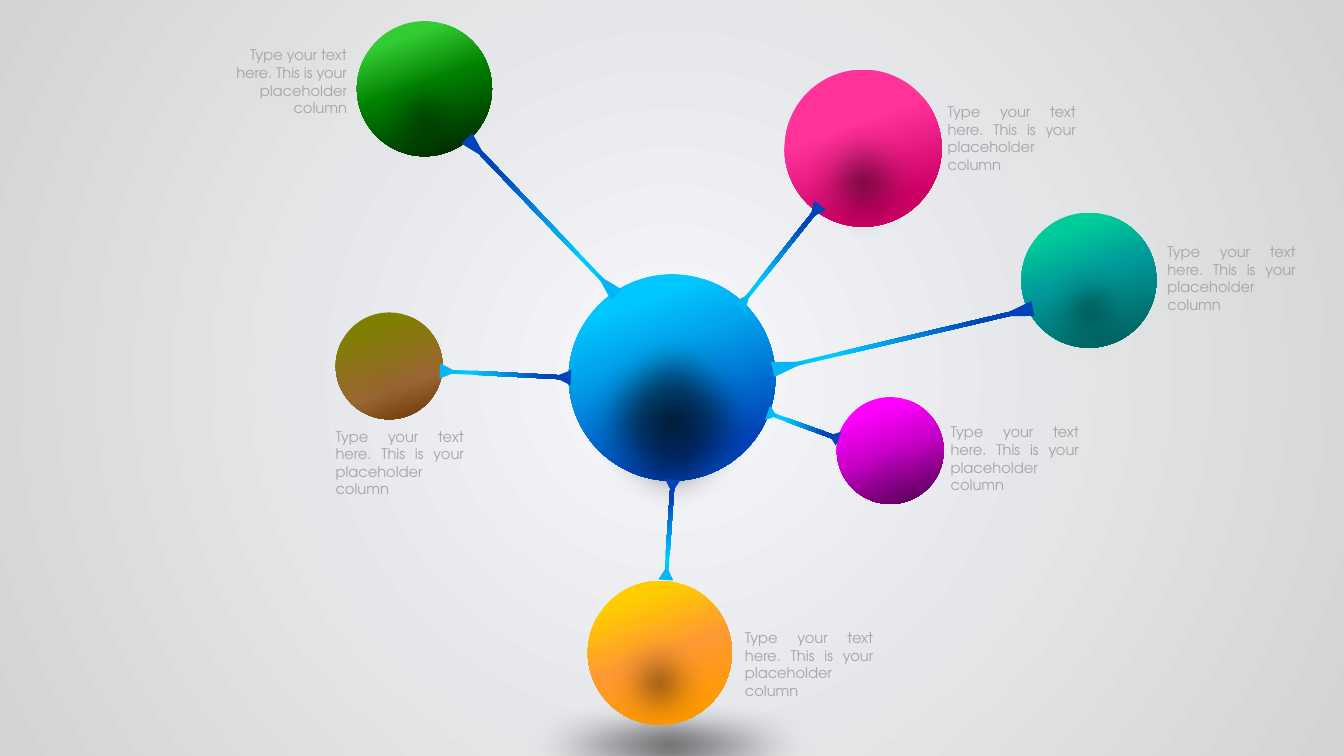
from math import cos, radians, sin
from lxml import etree
from pptx import Presentation
from pptx.dml.color import RGBColor
from pptx.enum.shapes import MSO_SHAPE
from pptx.enum.text import MSO_AUTO_SIZE, PP_ALIGN
from pptx.oxml import parse_xml
from pptx.oxml.ns import nsdecls, qn
from pptx.util import Inches, Pt

OVAL, BAR, TIP = MSO_SHAPE.OVAL, MSO_SHAPE.RECTANGLE, MSO_SHAPE.ISOSCELES_TRIANGLE
JUST, RIGHT = PP_ALIGN.JUSTIFY, PP_ALIGN.RIGHT
FONT = "TeX Gyre Adventor"
CELL = Inches(0.01)  # the slide is a grid of 1333 columns and 750 rows
COLS, ROWS = 1333, 750
BLUR = 317500

HEX = {
    "pale": "F6F8FC", "edge": "D2D3D5", "text": "A6A6A6",
    "black": "000000", "white": "FFFFFF",
    "sky": "01C7FF", "azure": "01A7EE", "navy": "0144B9", "cyan": "03B6F5",
    "rose": "FF3399", "ruby": "CC0066",
    "mint": "00CC99", "teal": "009999", "pine": "006666",
    "gold": "FFCC00", "peach": "FF9933", "amber": "FF9900",
    "lime": "33CC33", "green": "008000", "moss": "003300",
    "pink": "FF00FF", "plum": "CC00CC", "grape": "660066",
    "olive": "808000", "tan": "996633", "brown": "663300",
}
BLUE = [(18, "sky", 100), (36, "azure", 100), (81, "navy", 100)]
DEEP = [(0, "black", 71), (52, "black", 29), (100, "white", 0)]
SOFT = [(0, "black", 43), (52, "black", 16), (100, "white", 0)]


def form(home, kind, mid, size, fill, turn=0, soft=False):
    """Add a shape centred on mid; fill is a colour name or a list of stops."""
    (x, y), (w, h) = mid, size
    box = [round(n * CELL) for n in (x - w / 2, y - h / 2, w, h)]
    shape = home.shapes.add_shape(kind, *box)
    shape.rotation = turn
    shape.line.fill.background()
    shape.shadow.inherit = False
    shape.fill.solid()
    if isinstance(fill, str):
        shape.fill.fore_color.rgb = RGBColor.from_string(HEX[fill])
    else:
        stops = "".join(
            f'<a:gs pos="{pos * 1000}"><a:srgbClr val="{HEX[name]}">'
            f'<a:alpha val="{alpha * 1000}"/></a:srgbClr></a:gs>'
            for pos, name, alpha in fill)
        way = ('<a:path path="circle"><a:fillToRect l="50000" t="50000" r="50000" b="50000"/></a:path>'
               if soft else '<a:lin ang="4200000" scaled="0"/>')
        grad = parse_xml(f'<a:gradFill {nsdecls("a")} rotWithShape="1">'
                         f'<a:gsLst>{stops}</a:gsLst>{way}</a:gradFill>')
        props = shape._element.spPr
        props.replace(props.find(qn("a:solidFill")), grad)
    if soft:
        effect = shape._element.spPr.find(qn("a:effectLst"))
        etree.SubElement(effect, qn("a:softEdge"), rad=str(BLUR))


def write(home, text, x, y, w, h, size=10.5, color="text", align=JUST):
    box = home.shapes.add_textbox(*[n * CELL for n in (x, y, w, h)])
    frame = box.text_frame
    frame.word_wrap = True
    frame.auto_size = MSO_AUTO_SIZE.SHAPE_TO_FIT_TEXT
    para = frame.paragraphs[0]
    para.alignment = align
    run = para.add_run()
    run.text = text
    run.font.size, run.font.name = Pt(size), FONT
    run.font.color.rgb = RGBColor.from_string(HEX[color])


deck = Presentation()
deck.slide_width, deck.slide_height = COLS * CELL, ROWS * CELL
slide = deck.slides.add_slide(deck.slide_layouts[6])

# Backdrop
back = slide.background.fill
back.gradient()
for stop, pos, name in zip(back.gradient_stops, (0, 1), ("pale", "edge")):
    stop.position = pos
    stop.color.rgb = RGBColor.from_string(HEX[name])
lin = next(slide._element.iter(qn("a:lin")))
ring = parse_xml(f'<a:path {nsdecls("a")} path="circle">'
                 '<a:fillToRect l="50000" t="50000" r="50000" b="50000"/></a:path>')
lin.getparent().replace(lin, ring)

# Floor shadow
form(slide, OVAL, (664, 739), (432, 102), DEEP, soft=True)

# Balls: left, top, width, stops, shade, glints (centre and size)
balls = [
    (564, 272, 205, BLUE, DEEP, [(633.5, 312, 87, 90), (670.5, 306, 87, 90)]),
    (778, 69, 156, [(18, "rose", 100), (36, "rose", 100), (81, "ruby", 100)], SOFT, []),
    (1013, 211, 134, [(18, "mint", 100), (48, "teal", 100), (88, "pine", 100)], SOFT, []),
    (583, 576, 143, [(18, "gold", 100), (51, "peach", 100), (87, "amber", 100)], SOFT, []),
    (354, 21, 134, [(18, "lime", 100), (48, "green", 100), (88, "moss", 100)], SOFT, []),
    (830, 394, 106, [(18, "pink", 100), (48, "plum", 100), (88, "grape", 100)], SOFT,
     [(881, 418.5, 76, 79)]),
    (333, 310, 106, [(18, "olive", 100), (67, "tan", 100), (100, "brown", 100)], SOFT,
     [(384, 333.5, 76, 79)]),
]
for x, y, d, stops, shade, glints in balls:
    ball = slide.shapes.add_group_shape()
    mid = x + d / 2
    form(ball, OVAL, (mid, y + d / 2), (d, d), stops)
    form(ball, OVAL, (mid, y + 0.71 * d), (d, 1.03 * d), shade, soft=True)
    for gx, gy, w, h in glints:
        form(ball, OVAL, (gx, gy), (w, h), "white", soft=True)

# Links: centre, length, turn; the tips scale with the length
links = [
    (775, 252, 110, 218.5), (798, 423, 64, 290.1), (901, 335, 226, 256.8),
    (664, 523.5, 85, 183.9), (504, 371.5, 111, 272.9), (534, 211.5, 183, 136.3),
]
for x, y, span, turn in links:
    link = slide.shapes.add_group_shape()
    form(link, BAR, (x, y), (4, span), BLUE, turn)
    dx, dy = sin(radians(turn)), -cos(radians(turn))
    for share, name, spin in ((0.535, "cyan", 180), (-0.485, "navy", 0)):
        tip = x + share * span * dx, y + share * span * dy
        form(link, TIP, tip, (15, 0.153 * span), name, (turn + spin) % 360)

# Captions
for x, y, align in [(930, 97, JUST), (1148, 236, JUST), (729, 619, JUST),
                    (323, 419, JUST), (933, 415, JUST), (207, 41, RIGHT)]:
    write(slide, "Type your text here. This is your placeholder column",
          x, y, 147, 81, align=align)

deck.save("out.pptx")
